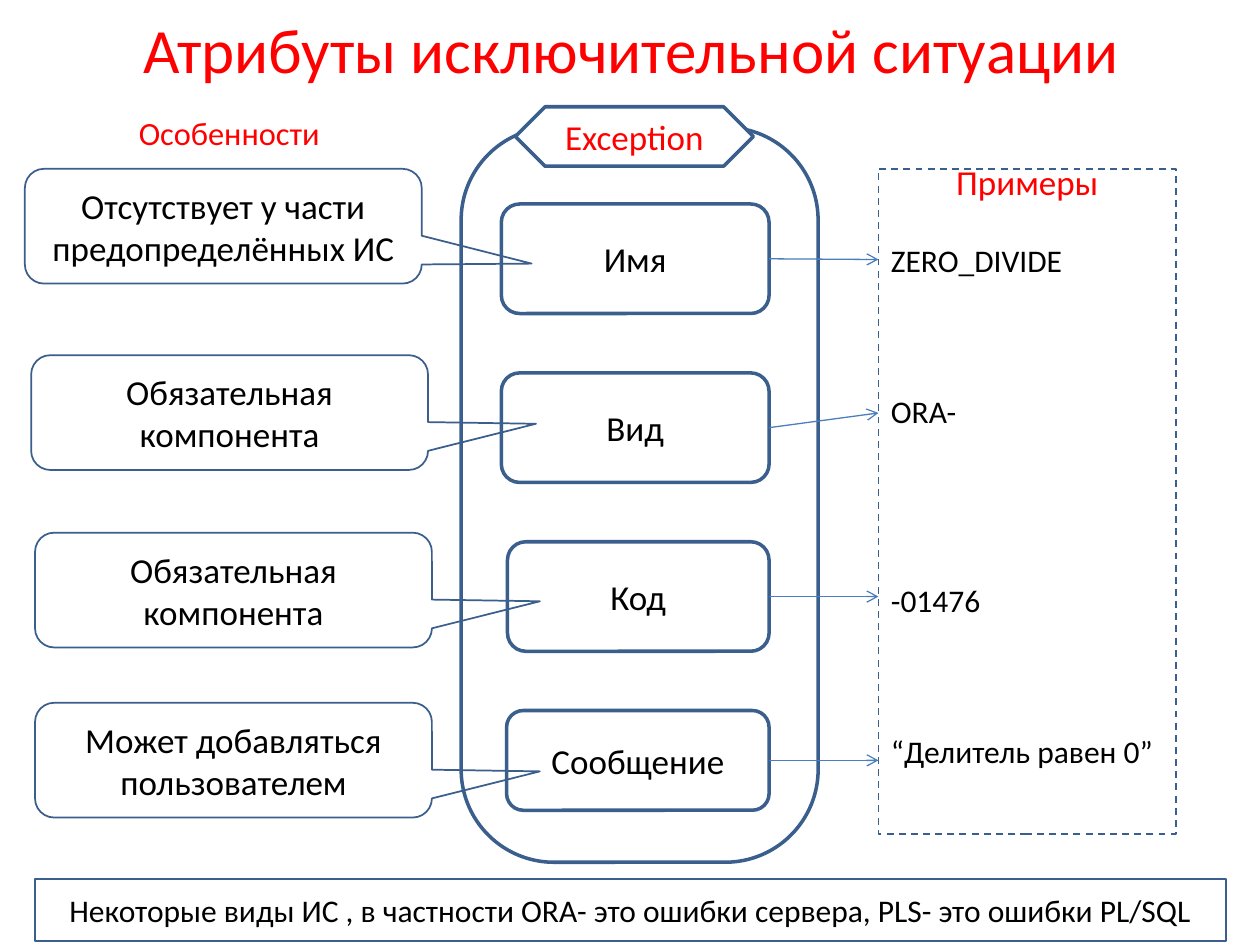
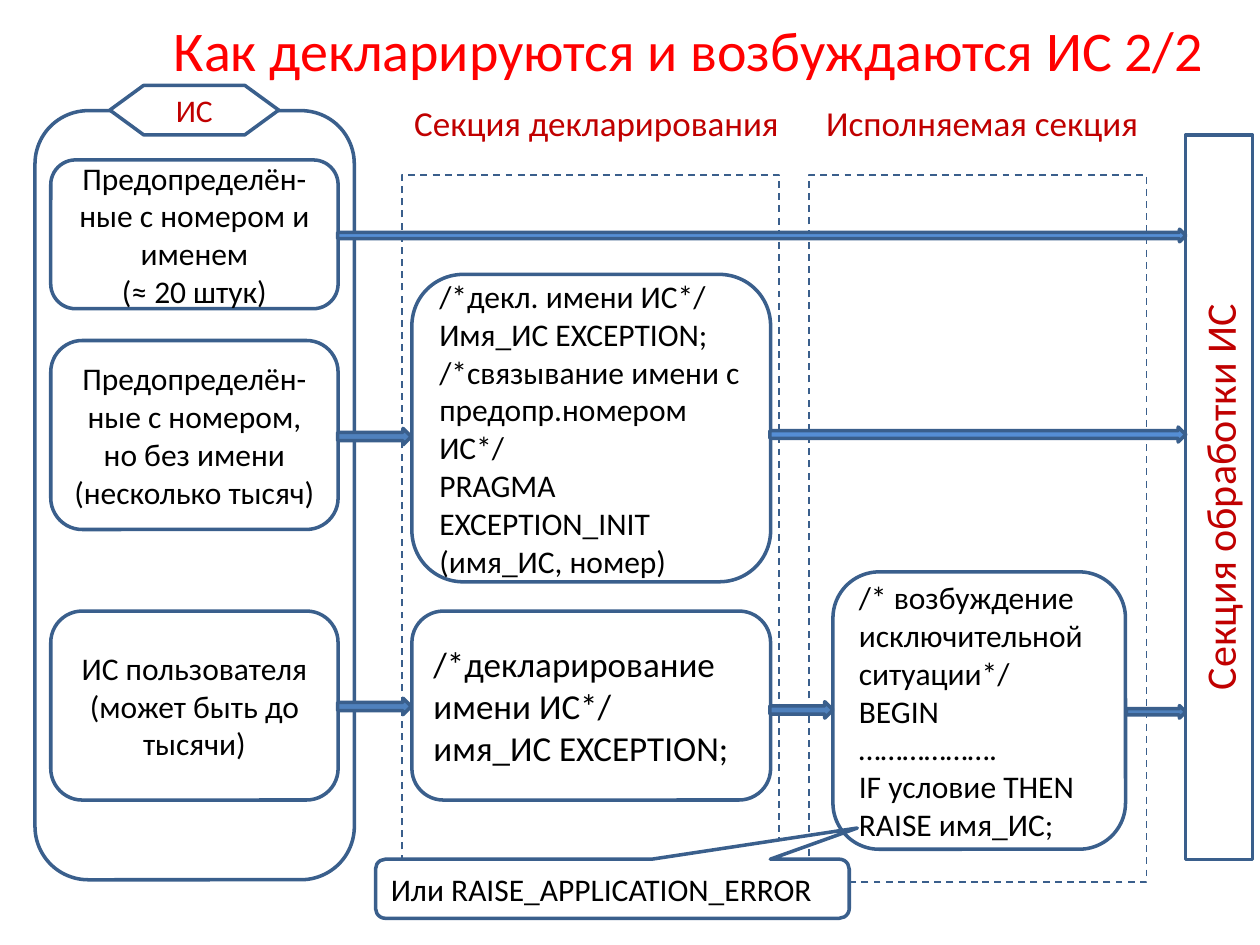
from lxml import etree
from pptx import Presentation
from pptx.dml.color import RGBColor
from pptx.enum.dml import MSO_LINE
from pptx.enum.shapes import MSO_CONNECTOR, MSO_SHAPE as Kind
from pptx.enum.text import MSO_ANCHOR, MSO_AUTO_SIZE, PP_ALIGN as Align
from pptx.oxml.ns import qn
from pptx.util import Pt

FONT = "Calibri"
RED, DARK, BLACK, WHITE = "FF0000", "C00000", "000000", "FFFFFF"
EDGE, WIRE, SOFT, DEEP = "3A5F8C", "4B7EBC", "558ED5", "4F81BD"
ROUND, CALL = Kind.ROUNDED_RECTANGLE, Kind.ROUNDED_RECTANGULAR_CALLOUT


def tint(code):
    return RGBColor.from_string(code)


def box(page, kind, at, lines=(), size=18, ink=BLACK, align=Align.CENTER,
        edge=2, fill=None, dash=False, adj=()):
    """Add a shape, or a plain text box if kind is None; at is in points."""
    place = [Pt(v) for v in at]
    if kind is None:
        item = page.shapes.add_textbox(*place)
    else:
        item = page.shapes.add_shape(kind, *place)
        item.shadow.inherit = False
        item.line.color.rgb = tint(EDGE)
        item.line.width = Pt(edge)
        if dash:
            item.line.dash_style = MSO_LINE.DASH
        if fill:
            item.fill.solid()
            item.fill.fore_color.rgb = tint(fill)
        else:
            item.fill.background()
        for i, value in enumerate(adj):
            item.adjustments[i] = value
    frame = item.text_frame
    frame.word_wrap = True
    frame.vertical_anchor = MSO_ANCHOR.MIDDLE
    for i, line in enumerate(lines):
        para = frame.paragraphs[0] if i == 0 else frame.add_paragraph()
        para.alignment = align
        run = para.add_run()
        run.text = line
        run.font.name = FONT
        run.font.size = Pt(size)
        run.font.color.rgb = tint(ink)
    return item


deck = Presentation()
deck.slide_width, deck.slide_height = Pt(720), Pt(540)

# Slides and their titles
pages = []
for text, size, at in [
    ("Атрибуты исключительной ситуации", 36, (36.7, 0, 648, 54.7)),
    ("Как декларируются и возбуждаются ИС 2/2", 32, (87.8, -2.2, 612, 60.5)),
]:
    page = deck.slides.add_slide(deck.slide_layouts[5])
    title = page.shapes.title
    title.left, title.top, title.width, title.height = [Pt(v) for v in at]
    frame = title.text_frame
    frame.auto_size = MSO_AUTO_SIZE.NONE
    frame.vertical_anchor = MSO_ANCHOR.MIDDLE
    para = frame.paragraphs[0]
    para.alignment = Align.CENTER
    run = para.add_run()
    run.text = text
    run.font.name = FONT
    run.font.size = Pt(size)
    run.font.color.rgb = tint(RED)
    pages.append(page)
attrs, flow = pages

# Slide 1: attributes with their features and examples
box(attrs, None, (51, 62.5, 160, 27), ["Особенности"], 18.5, RED)
box(attrs, Kind.RECTANGLE, (502, 96.5, 170, 380), edge=1, dash=True)
box(attrs, None, (502, 90, 170, 28), ["Примеры"], 20, RED)
box(attrs, ROUND, (263.5, 72.7, 204, 420), adj=[0.26])
box(attrs, Kind.LEFT_RIGHT_ARROW, (294.5, 61, 136, 34), ["Exception"], 20, RED,
    fill=WHITE, adj=[1, 0.5])

rows = [
    ("Имя", 286.5, 116.6, 62.6, 148.3, "ZERO_DIVIDE", 148.7,
     ["Отсутствует у части", "предопределённых ИС"], 14.2, 96.5, [0.777, 0.326]),
    ("Вид", 286.5, 213.1, 62.6, 236, "ORA-", 235,
     ["Обязательная компонента"], 17.8, 203, [0.772, 0.098]),
    ("Код", 290, 309.6, 62.6, 340.9, "-01476", 343,
     ["Обязательная компонента"], 20, 304.4, [0.772, 0.098]),
    ("Сообщение", 289.5, 406, 57, 434.5, "“Делитель равен 0”", 429.3,
     ["Может добавляться пользователем"], 20, 401.6, [0.772, 0.098]),
]
for name, left, top, high, end, sample, mid, note, x, y, tip in rows:
    part = box(attrs, ROUND, (left, top, 439.5 - left, high), [name], 20)
    wire = attrs.shapes.add_connector(
        MSO_CONNECTOR.STRAIGHT, Pt(439.5), Pt(top + high / 2), Pt(502), Pt(end))
    wire.begin_connect(part, 3)
    wire.line.color.rgb = tint(WIRE)
    wire.line.width = Pt(0.75)
    etree.SubElement(wire.line._get_or_add_ln(), qn("a:tailEnd"), type="arrow")
    etree.SubElement(wire._element.spPr, qn("a:effectLst"))
    box(attrs, None, (502, mid - 14.5, 170, 29), [sample], align=Align.LEFT)
    box(attrs, CALL, (x, y, 226.8, 65.6), note, 20, edge=1, adj=tip + [0.167])

box(attrs, Kind.RECTANGLE, (20, 502.3, 680.4, 35.3),
    ["Некоторые виды ИС , в частности ORA- это ошибки сервера, "
     "PLS- это ошибки PL/SQL"], edge=1)

# Slide 2: kinds of exception and their way to the handler
box(flow, ROUND, (20, 63.2, 182.5, 439.5))
for top, high, lines in [
    (91.4, 85, ["Предопределён-ные с номером и именем", "(≈ 20 штук)"]),
    (194.6, 108, ["Предопределён-ные с номером, но без имени",
                  "(несколько тысяч)"]),
    (349.2, 108, ["ИС пользователя", "(может быть до тысячи)"]),
]:
    box(flow, ROUND, (29, top, 164.2, high), lines)
box(flow, Kind.FLOWCHART_PREPARATION, (62.8, 48.8, 96.5, 28.2), ["ИС"],
    ink=DARK, fill=WHITE)

for left, wide, high in [(229.8, 215.3, 402.8), (462.2, 193, 404)]:
    box(flow, Kind.RECTANGLE, (left, 100, wide, high), edge=1, dash=True)
bar = box(flow, Kind.RECTANGLE, (489.6, 265, 414, 38.2),
          ["Секция обработки ИС"], 24, DARK)
bar.rotation = 270
for left, text in [(229.6, "Секция декларирования"), (465, "Исполняемая секция")]:
    box(flow, None, (left, 49, 230, 42.5), [text], 20, DARK, Align.LEFT)

for at, size, lines in [
    ((235.4, 156.8, 205, 175.7), 18,
     ["/*декл. имени ИС*/", "Имя_ИС EXCEPTION;",
      "/*связывание имени с предопр.номером ИС*/",
      "PRAGMA EXCEPTION_INIT (имя_ИС, номер)"]),
    ((235.4, 349.2, 205, 108), 20,
     ["/*декларирование имени ИС*/", "имя_ИС EXCEPTION;"]),
    ((476, 326.8, 167.2, 158.5), 18,
     ["/* возбуждение исключительной ситуации*/", "BEGIN", "……………….",
      "IF условие THEN", "RAISE имя_ИС;"]),
]:
    box(flow, ROUND, at, lines, size, align=Align.LEFT)

for left, top, wide, high, fill in [
    (440, 244, 237.6, 8.6, SOFT),
    (193, 131, 484.6, 7.2, SOFT),
    (193, 244.8, 42, 9.4, DEEP),
    (193, 399, 42, 9.4, DEEP),
    (440, 401, 36, 9.4, DEEP),
    (643.7, 403.2, 33.9, 7.2, DEEP),
]:
    box(flow, Kind.RIGHT_ARROW, (left, top, wide, high), fill=fill)

box(flow, CALL, (214.6, 491, 270.7, 33.8), ["Или RAISE_APPLICATION_ERROR"],
    align=Align.LEFT, fill=WHITE, adj=[0.517, -1.027, 0.167])

deck.save("out.pptx")
